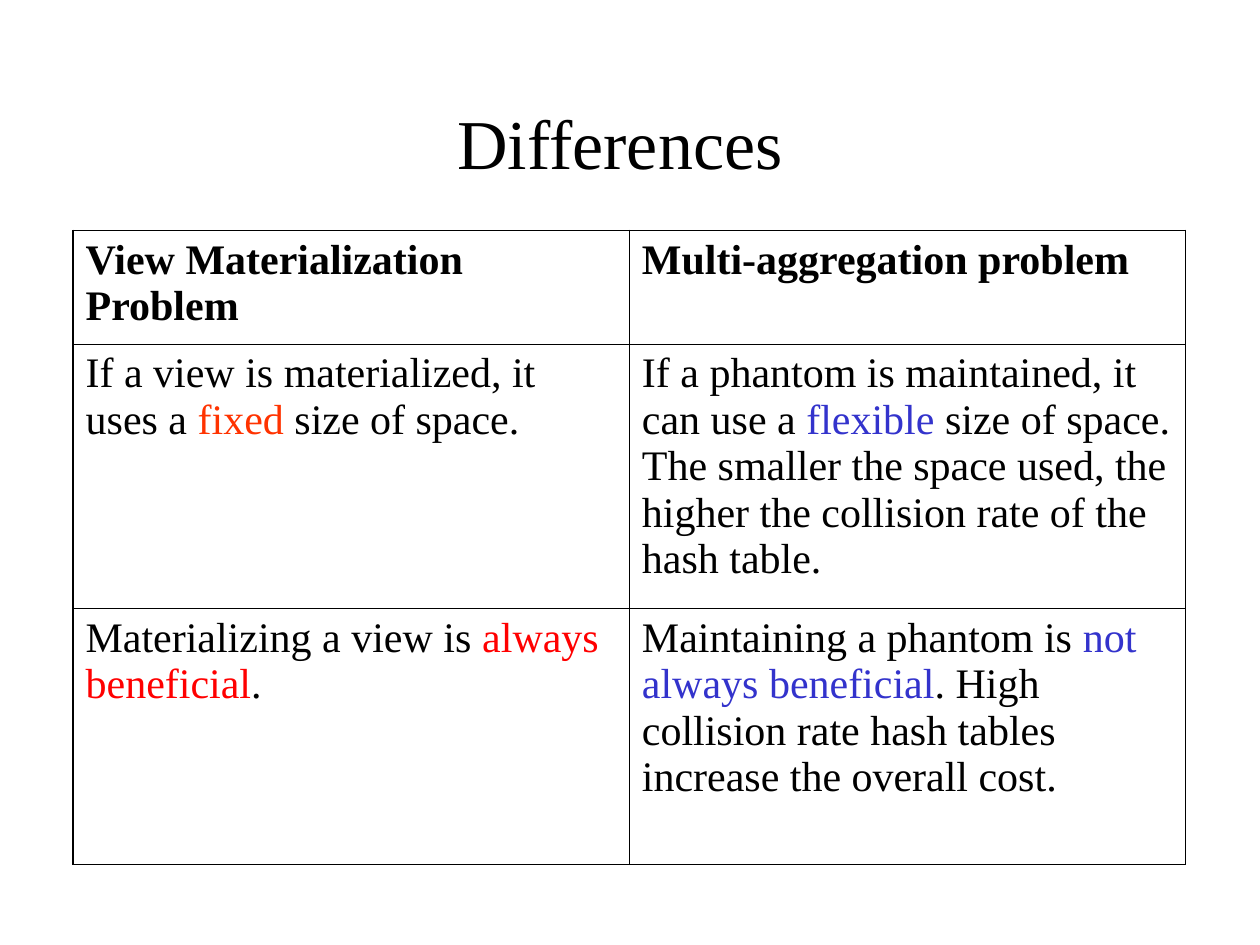
import pptx
import pptx.dml.color
import pptx.enum.text
import pptx.oxml
import pptx.oxml.ns
import pptx.util
from pptx.util import Inches

COLORS = {"ink": "000000", "fixed": "FF3300", "always": "FF0000", "phantom": "3333CC"}
FONT = "Times New Roman"
OUTER, INNER = 1.08, 0.45
ROW_HEIGHTS = [0.9, 2.1, 2.03]
COMPARISON = [
    [
        [("View Materialization Problem", "ink")],
        [("Multi-aggregation problem", "ink")],
    ],
    [
        [
            ("If a view is materialized, it uses a ", "ink"),
            ("fixed", "fixed"),
            (" size of space.", "ink"),
        ],
        [
            ("If a phantom is maintained, it can use a ", "ink"),
            ("flexible", "phantom"),
            (" size of space. The smaller the space used, the higher the "
             "collision rate of the hash table.", "ink"),
        ],
    ],
    [
        [
            ("Materializing a view is ", "ink"),
            ("always beneficial", "always"),
            (".", "ink"),
        ],
        [
            ("Maintaining a phantom is ", "ink"),
            ("not always beneficial", "phantom"),
            (". High collision rate hash tables increase the overall cost.", "ink"),
        ],
    ],
]


def rgb(name):
    return pptx.dml.color.RGBColor.from_string(COLORS[name])


def style_paragraph(paragraph, size, bold=False):
    paragraph.font.name = FONT
    paragraph.font.size = pptx.util.Pt(size)
    paragraph.font.bold = bold
    paragraph.font.color.rgb = rgb("ink")


def set_borders(cell, widths):
    properties = cell._tc.get_or_add_tcPr()
    for index, (side, width) in enumerate(widths.items()):
        border = pptx.oxml.parse_xml(
            f'<a:ln{side} {pptx.oxml.ns.nsdecls("a")} w="{pptx.util.Pt(width)}">'
            f'<a:solidFill><a:srgbClr val="{COLORS["ink"]}"/></a:solidFill>'
            f'</a:ln{side}>'
        )
        properties.insert(index, border)


def add_title(slide, left, top, width, height):
    title = slide.shapes.add_textbox(left, top, width, height)
    frame = title.text_frame
    frame.word_wrap = True
    frame.vertical_anchor = pptx.enum.text.MSO_ANCHOR.MIDDLE
    heading = frame.paragraphs[0]
    heading.text = "Differences"
    heading.alignment = pptx.enum.text.PP_ALIGN.CENTER
    style_paragraph(heading, 40)


def fill_cell(cell, parts, bold):
    paragraph = cell.text_frame.paragraphs[0]
    style_paragraph(paragraph, 24, bold)
    for text, color in parts:
        run = paragraph.add_run()
        run.text = text
        run.font.color.rgb = rgb(color)
    cell.fill.background()


def add_comparison(slide, left, top, width, height):
    row_count, column_count = len(COMPARISON), len(COMPARISON[0])
    table = slide.shapes.add_table(
        row_count, column_count, left, top, width, height
    ).table
    table.first_row = False
    table.horz_banding = False
    for row, share in zip(table.rows, ROW_HEIGHTS):
        row.height = int(height * share / sum(ROW_HEIGHTS))
    for r, entries in enumerate(COMPARISON):
        for c, parts in enumerate(entries):
            cell = table.cell(r, c)
            fill_cell(cell, parts, bold=r == 0)
            set_borders(cell, {
                "L": OUTER if c == 0 else INNER,
                "R": OUTER if c == column_count - 1 else INNER,
                "T": OUTER if r == 0 else INNER,
                "B": OUTER if r == row_count - 1 else INNER,
            })


def main():
    presentation = pptx.Presentation()
    presentation.slide_width = Inches(10)
    presentation.slide_height = Inches(7.5)
    slide = presentation.slides.add_slide(presentation.slide_layouts[6])
    add_title(slide, Inches(0.67), Inches(0.5), Inches(8.5), Inches(1.25))
    add_comparison(slide, Inches(0.58), Inches(1.83), Inches(8.83), Inches(5.03))
    presentation.save("out.pptx")


if __name__ == "__main__":
    main()
